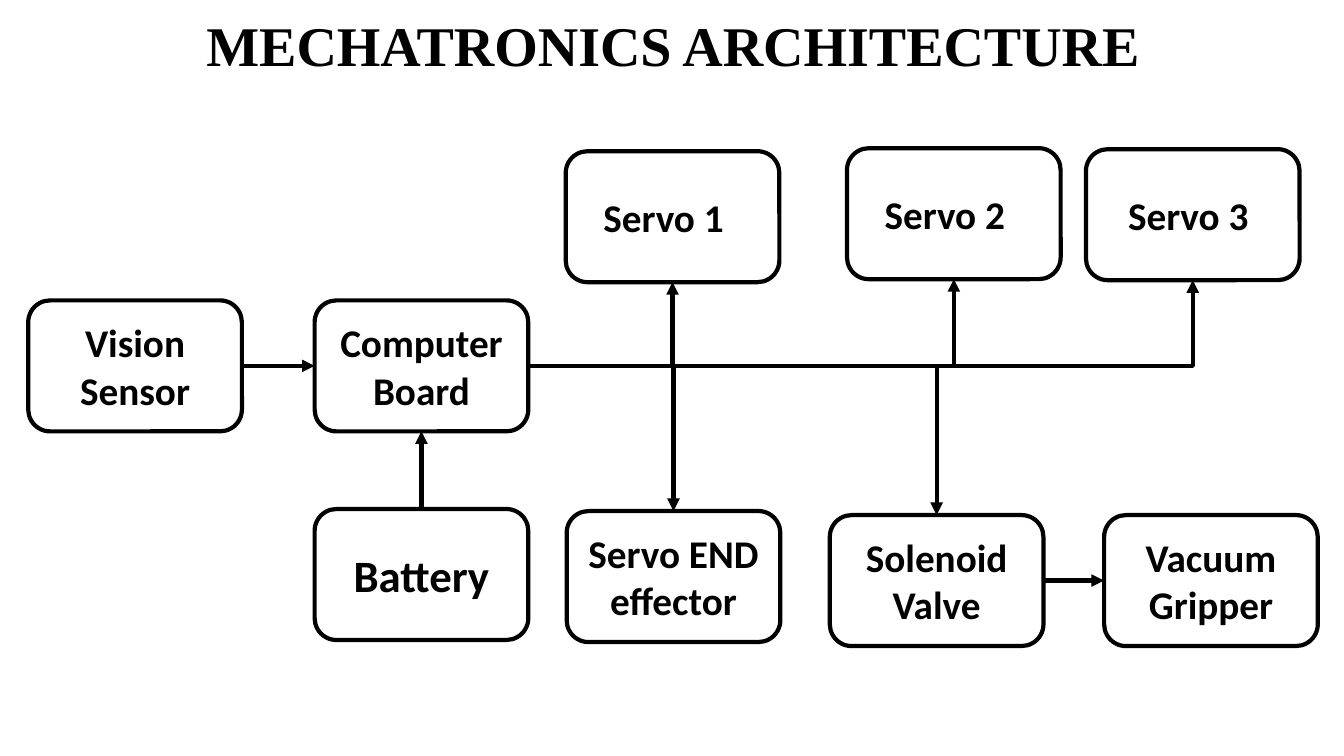
from dataclasses import dataclass

import pptx
import pptx.dml.color
import pptx.enum.shapes
import pptx.enum.text
import pptx.oxml
import pptx.oxml.ns
import pptx.util

COLORS = {"ink": "000000", "paper": "FFFFFF"}
BOX_W, BOX_H = 15.9, 17.33  # percent of the slide's width and height
LINE_PT = 3
TOP, LEFT, BOTTOM, RIGHT = range(4)
CENTER = pptx.enum.text.PP_ALIGN.CENTER
ANCHOR = pptx.enum.text.MSO_ANCHOR
STRAIGHT = pptx.enum.shapes.MSO_CONNECTOR.STRAIGHT
ELBOW = pptx.enum.shapes.MSO_CONNECTOR.ELBOW


@dataclass(frozen=True)
class Block:
    """A box placed in percent of the slide; nudge widens its right margin."""
    label: str
    left: float
    top: float
    size: int = 28
    nudge: float = 0


@dataclass(frozen=True)
class Link:
    start: str
    start_side: int
    end: str
    end_side: int
    kind: int = STRAIGHT


BLOCKS = [
    Block("Vision Sensor", 2.1, 39.73),
    Block("Computer Board", 23.41, 39.73),
    Block("Servo 1", 42.09, 20, nudge=1.32),
    Block("Servo 2", 63.02, 19.6, nudge=1.32),
    Block("Servo 3", 80.8, 19.73, nudge=0.66),
    Block("Servo END effector", 42.16, 67.6),
    Block("Battery", 23.41, 67.33, size=32),
    Block("Solenoid Valve", 61.74, 68.13),
    Block("Vacuum Gripper", 82.15, 68.13),
]
DRIVEN = {"Servo 1": BOTTOM, "Servo 2": BOTTOM, "Servo 3": BOTTOM,
          "Servo END effector": TOP, "Solenoid Valve": TOP}
LINKS = [
    Link("Vision Sensor", RIGHT, "Computer Board", LEFT),
    Link("Battery", TOP, "Computer Board", BOTTOM),
    Link("Solenoid Valve", RIGHT, "Vacuum Gripper", LEFT),
] + [Link("Computer Board", RIGHT, name, side, ELBOW) for name, side in DRIVEN.items()]

prs = pptx.Presentation()
prs.slide_width = pptx.util.Inches(13.33)
prs.slide_height = pptx.util.Inches(7.5)


def across(percent: float) -> int:
    return round(prs.slide_width * percent / 100)


def down(percent: float) -> int:
    return round(prs.slide_height * percent / 100)


def rgb(name: str) -> pptx.dml.color.RGBColor:
    return pptx.dml.color.RGBColor.from_string(COLORS[name])


def assign(target: object, values: dict) -> None:
    for name, value in values.items():
        setattr(target, name, value)


def write(sp, text: str, font: str, size: int, frame: dict) -> None:
    tf = sp.text_frame
    assign(tf, {"word_wrap": True, "auto_size": pptx.enum.text.MSO_AUTO_SIZE.NONE} | frame)
    p = tf.paragraphs[0]
    p.alignment = CENTER
    r = p.add_run()
    r.text = text
    assign(r.font, {"name": font, "size": pptx.util.Pt(size), "bold": True})
    r.font.color.rgb = rgb("ink")


def style_line(line) -> None:
    line.color.rgb = rgb("ink")
    line.width = pptx.util.Pt(LINE_PT)


def add_title(s, text: str) -> None:
    sp = s.shapes.title
    assign(sp, {"left": across(0.08), "top": down(1.73),
                "width": across(100), "height": down(12.27)})
    sp.fill.solid()
    sp.fill.fore_color.rgb = rgb("paper")
    write(sp, text, "Times New Roman", 40, {"vertical_anchor": ANCHOR.TOP})
    sp.text_frame.paragraphs[0].line_spacing = 0.9


def add_block(s, block: Block):
    sp = s.shapes.add_shape(pptx.enum.shapes.MSO_SHAPE.ROUNDED_RECTANGLE,
                            across(block.left), down(block.top), across(BOX_W), down(BOX_H))
    sp.shadow.inherit = False
    sp.fill.background()
    style_line(sp.line)
    margin = pptx.util.Inches(0.1) + across(block.nudge)
    write(sp, block.label, "Calibri", block.size,
          {"vertical_anchor": ANCHOR.MIDDLE, "margin_right": margin})
    return sp


def add_link(s, link: Link, boxes: dict) -> None:
    cxn = s.shapes.add_connector(link.kind, 0, 0, 0, 0)
    cxn.begin_connect(boxes[link.start], link.start_side)
    cxn.end_connect(boxes[link.end], link.end_side)
    style_line(cxn.line)
    props = cxn._element.spPr
    if link.kind == ELBOW:  # a single corner instead of two
        props.find(pptx.oxml.ns.qn("a:prstGeom")).set("prst", "bentConnector2")
    ns = pptx.oxml.ns.nsdecls("a")
    props.find(pptx.oxml.ns.qn("a:ln")).append(
        pptx.oxml.parse_xml(f'<a:tailEnd {ns} type="triangle"/>'))
    props.append(pptx.oxml.parse_xml(f"<a:effectLst {ns}/>"))


def main() -> None:
    s = prs.slides.add_slide(prs.slide_layouts[5])
    add_title(s, "MECHATRONICS ARCHITECTURE")
    boxes = {block.label: add_block(s, block) for block in BLOCKS}
    for link in LINKS:
        add_link(s, link, boxes)
    prs.save("out.pptx")


if __name__ == "__main__":
    main()
